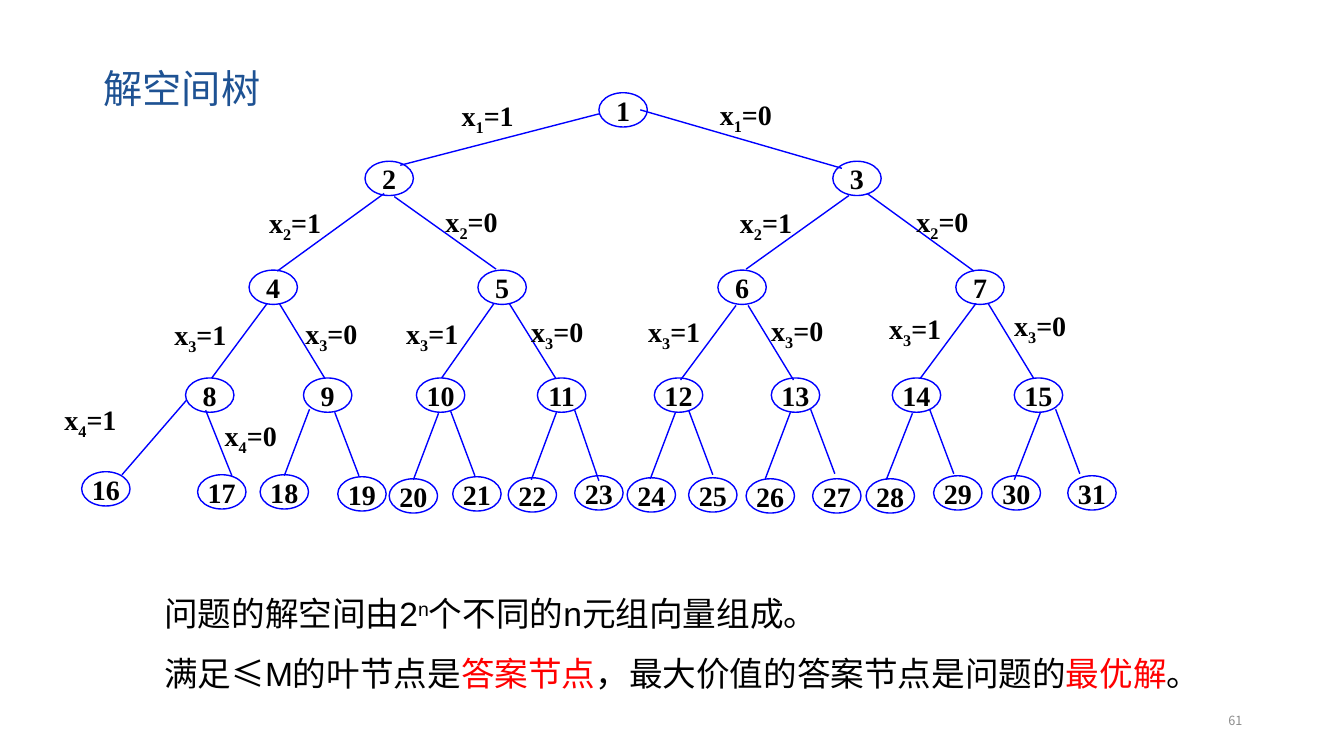
from dataclasses import dataclass
from typing import Optional

import lxml.etree
import pptx
import pptx.dml.color
import pptx.enum.shapes
import pptx.enum.text
import pptx.oxml.ns
import pptx.util

Inches = pptx.util.Inches
PP_ALIGN = pptx.enum.text.PP_ALIGN
ANCHOR = pptx.enum.text.MSO_ANCHOR

SERIF, SANS, CJK = "Times New Roman", "Arial", "Noto Sans CJK SC"
BLACK, BLUE, RED, TITLE_BLUE, GREY = "000000", "0000FF", "FF0000", "1E5293", "8C8C8C"
NODE_WIDTH, NODE_HEIGHT = 0.48, 0.34
LABEL_WIDTH, LABEL_HEIGHT = 0.95, 0.44

Point = tuple[float, float]


@dataclass(frozen=True)
class Node:
    """A tree node, the branch from its parent and the place of the branch label."""
    at: Point
    start: Optional[Point] = None
    end: Optional[Point] = None
    label: Optional[Point] = None


@dataclass(frozen=True)
class Piece:
    text: str
    color: str = BLACK
    baseline: int = 0


# Nodes in breadth-first order, so numbers and levels follow from the position
NODES = [
    Node((5.94, 0.92)),
    Node((3.62, 1.6), (5.94, 1.13), (3.97, 1.64), (4.48, 0.93)),
    Node((8.26, 1.6), (6.35, 1.09), (8.35, 1.67), (7.04, 0.92)),
    Node((2.47, 2.68), (3.81, 1.92), (2.75, 2.69), (2.57, 1.99)),
    Node((4.74, 2.68), (3.91, 1.95), (4.92, 2.67), (4.32, 1.98)),
    Node((7.12, 2.68), (8.42, 1.94), (7.4, 2.67), (7.24, 1.99)),
    Node((9.48, 2.68), (8.6, 1.92), (9.66, 2.69), (8.99, 1.98)),
    Node((1.84, 3.75), (2.65, 3.01), (2.1, 3.75), (1.63, 3.1)),
    Node((3.01, 3.75), (2.77, 3.01), (3.22, 3.75), (2.93, 3.09)),
    Node((4.13, 3.75), (4.9, 3.01), (4.38, 3.75), (3.93, 3.09)),
    Node((5.33, 3.75), (5.05, 3.01), (5.51, 3.75), (5.17, 3.07)),
    Node((6.49, 3.75), (7.3, 3.03), (6.75, 3.77), (6.33, 3.07)),
    Node((7.65, 3.75), (7.42, 3.03), (7.87, 3.77), (7.55, 3.06)),
    Node((8.85, 3.75), (9.68, 3.01), (9.13, 3.75), (8.72, 3.04)),
    Node((10.06, 3.75), (9.8, 3.01), (10.25, 3.75), (9.96, 3.01)),
    Node((0.81, 4.68), (1.85, 3.97), (1.21, 4.71), (0.54, 3.94)),
    Node((1.96, 4.71), (2.04, 4.07), (2.3, 4.72), (2.13, 4.1)),
    Node((2.58, 4.71), (3.07, 4.06), (2.82, 4.72)),
    Node((3.35, 4.73), (3.32, 4.09), (3.56, 4.72)),
    Node((3.86, 4.75), (4.35, 4.1), (4.1, 4.76)),
    Node((4.49, 4.73), (4.47, 4.08), (4.71, 4.72)),
    Node((5.04, 4.74), (5.52, 4.09), (5.27, 4.76)),
    Node((5.7, 4.72), (5.7, 4.07), (5.94, 4.77)),
    Node((6.22, 4.74), (6.7, 4.09), (6.45, 4.75)),
    Node((6.83, 4.74), (6.83, 4.07), (7.07, 4.71)),
    Node((7.4, 4.75), (7.84, 4.09), (7.59, 4.75)),
    Node((8.06, 4.75), (8.04, 4.06), (8.28, 4.7)),
    Node((8.59, 4.75), (9.05, 4.1), (8.79, 4.76)),
    Node((9.26, 4.72), (9.22, 4.06), (9.46, 4.7)),
    Node((9.84, 4.72), (10.32, 4.09), (10.06, 4.76)),
    Node((10.59, 4.72), (10.47, 4.06), (10.71, 4.7)),
]

CONCLUSIONS = [
    [Piece("问题的解空间由2"), Piece("n", baseline=30), Piece("个不同的n元组向量组成。")],
    [Piece("满足≤M的叶节点是"), Piece("答案节点", RED),
     Piece("，最大价值的答案节点是问题的"), Piece("最优解", RED), Piece("。")],
]


def rgb(color: str) -> pptx.dml.color.RGBColor:
    return pptx.dml.color.RGBColor.from_string(color)


def add_pieces(paragraph, pieces: list[Piece], size: float, font: str, bold: bool = False) -> None:
    for piece in pieces:
        run = paragraph.add_run()
        run.text = piece.text
        run.font.size = pptx.util.Pt(size)
        run.font.name = font
        run.font.bold = bold
        run.font.color.rgb = rgb(piece.color)
        properties = run.font._element
        if piece.baseline:
            properties.set("baseline", str(piece.baseline * 1000))
        east_asian = lxml.etree.SubElement(properties, pptx.oxml.ns.qn("a:ea"))
        east_asian.set("typeface", CJK)


def add_text(slide, at: Point, size: Point, lines: list[list[Piece]], points: float, font: str,
             bold: bool = False, align=PP_ALIGN.LEFT, anchor=ANCHOR.TOP, spacing: float = 1.0) -> None:
    frame = slide.shapes.add_textbox(*map(Inches, at + size)).text_frame
    frame.word_wrap = True
    frame.vertical_anchor = anchor
    for index, pieces in enumerate(lines):
        paragraph = frame.add_paragraph() if index else frame.paragraphs[0]
        paragraph.alignment = align
        paragraph.line_spacing = spacing
        add_pieces(paragraph, pieces, points, font, bold)


def add_node(slide, number: int, at: Point) -> None:
    oval = slide.shapes.add_shape(pptx.enum.shapes.MSO_SHAPE.OVAL,
                                  *map(Inches, at + (NODE_WIDTH, NODE_HEIGHT)))
    oval.shadow.inherit = False
    oval.fill.background()
    oval.line.color.rgb = rgb(BLUE)
    oval.line.width = pptx.util.Pt(1)
    frame = oval.text_frame
    frame.word_wrap = False
    frame.vertical_anchor = ANCHOR.MIDDLE
    frame.paragraphs[0].alignment = PP_ALIGN.CENTER
    add_pieces(frame.paragraphs[0], [Piece(str(number))], 20, SERIF, bold=True)


def add_branch(slide, start: Point, end: Point) -> None:
    branch = slide.shapes.add_connector(pptx.enum.shapes.MSO_CONNECTOR.STRAIGHT,
                                        *map(Inches, start + end))
    branch.line.color.rgb = rgb(BLUE)
    branch.line.width = pptx.util.Pt(1)
    lxml.etree.SubElement(branch._element.spPr, pptx.oxml.ns.qn("a:effectLst"))


def add_tree(slide) -> None:
    for number, node in enumerate(NODES, start=1):
        add_node(slide, number, node.at)
        if node.start and node.end:
            add_branch(slide, node.start, node.end)
        if node.label:
            # A left child takes the item (1), a right child leaves it (0)
            level = number.bit_length() - 1
            choice = 1 - number % 2
            decision = [Piece("x"), Piece(str(level), baseline=-25), Piece(f"={choice}")]
            add_text(slide, node.label, (LABEL_WIDTH, LABEL_HEIGHT), [decision], 20, SERIF, bold=True)


def main() -> None:
    deck = pptx.Presentation()
    deck.slide_width, deck.slide_height = Inches(13.33), Inches(7.5)
    slide = deck.slides.add_slide(deck.slide_layouts[6])

    # Title
    add_text(slide, (0.93, 0.59), (6.67, 0.57), [[Piece("解空间树", TITLE_BLUE)]], 28, SANS)
    # Solution space tree
    add_tree(slide)
    # Conclusions
    add_text(slide, (1.53, 5.63), (10.71, 1.24), CONCLUSIONS, 24, SANS, spacing=1.5)
    # Page number
    add_text(slide, (9.42, 6.95), (3, 0.4), [[Piece("61", GREY)]], 9, CJK,
             align=PP_ALIGN.RIGHT, anchor=ANCHOR.MIDDLE)

    deck.save("out.pptx")


if __name__ == "__main__":
    main()
